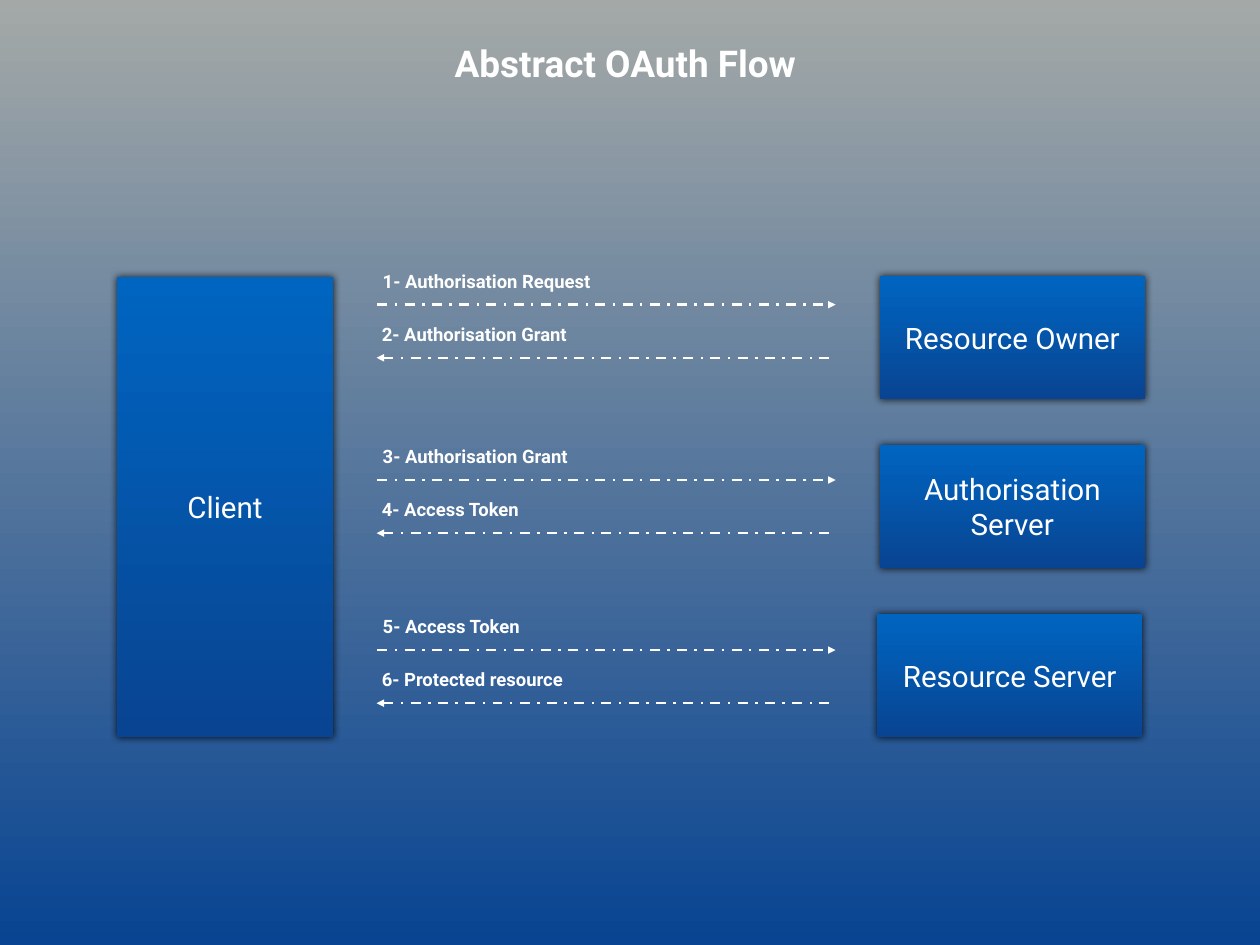
from dataclasses import dataclass
from lxml.etree import SubElement as Sub
from pptx import Presentation
from pptx.dml.color import RGBColor as RGB
from pptx.enum.dml import MSO_LINE as Dash
from pptx.enum.shapes import MSO_CONNECTOR as Conn, MSO_SHAPE as Shape
from pptx.enum.text import MSO_ANCHOR as Anchor, PP_ALIGN as Align
from pptx.oxml.ns import qn
from pptx.util import Inches, Pt


@dataclass(frozen=True)
class Theme:
    font: str = "Roboto"
    ink: str = "FFFFFF"
    shade: str = "000000"
    back: tuple = ("A4A9A7", "084492")
    card: tuple = ("0065C1", "084492")
    title: int = 30
    name: int = 24
    label: int = 15
    line: int = 2


THEME = Theme()
CLIENT = (1.32, 3.13, 2.44, 5.19)
PARTIES = [
    ("Resource Owner", (9.93, 3.12, 2.99, 1.39)),
    ("Authorisation Server", (9.93, 5.02, 2.99, 1.39)),
    ("Resource Server", (9.9, 6.93, 2.99, 1.39)),
]
STEPS = [
    (2.99, "1- Authorisation Request", "2- Authorisation Grant"),
    (4.97, "3- Authorisation Grant", "4- Access Token"),
    (6.89, "5- Access Token", "6- Protected resource"),
]


def blend(fill, colors):
    fill.gradient()
    fill.gradient_angle = 270
    for stop, color in zip(fill.gradient_stops, colors):
        stop.color.rgb = RGB.from_string(color)


def write(shape, text, size, bold=False, align=Align.CENTER):
    frame = shape.text_frame
    frame.text = text
    frame.word_wrap = True
    frame.vertical_anchor = Anchor.MIDDLE
    frame.margin_left = frame.margin_right = Inches(0.06)
    frame.margin_top = frame.margin_bottom = Inches(0.06)
    para = frame.paragraphs[0]
    para.alignment = align
    font = para.runs[0].font
    font.name, font.size, font.bold = THEME.font, Pt(size), bold
    font.color.rgb = RGB.from_string(THEME.ink)


def add_title(slide, box):
    title = slide.shapes.title
    title.left, title.top, title.width, title.height = map(Inches, box)
    write(title, "Abstract OAuth Flow ", THEME.title, True)


def add_card(slide, text, box):
    card = slide.shapes.add_shape(Shape.RECTANGLE, *map(Inches, box))
    blend(card.fill, THEME.card)
    card.line.fill.background()
    card.shadow.inherit = False
    effects = card.element.spPr.find(qn("a:effectLst"))
    glow = Sub(effects, qn("a:outerShdw"), blurRad=str(Pt(6)), dist="0",
               dir="0", algn="ctr", rotWithShape="0")
    color = Sub(glow, qn("a:srgbClr"), val=THEME.shade)
    Sub(color, qn("a:alpha"), val="80000")
    write(card, text, THEME.name)


def add_arrow(slide, text, box, end):
    left, top, width, drop = box
    y = Inches(top + drop)
    arrow = slide.shapes.add_connector(
        Conn.STRAIGHT, Inches(left), y, Inches(left + width), y)
    arrow.line.color.rgb = RGB.from_string(THEME.ink)
    arrow.line.width = Pt(THEME.line)
    arrow.line.dash_style = Dash.DASH_DOT
    props = arrow.element.spPr
    Sub(props.find(qn("a:ln")), qn(end), type="triangle")
    Sub(props, qn("a:effectLst"))
    label = slide.shapes.add_textbox(*map(Inches, (left, top, 4.9, 0.36)))
    write(label, text, THEME.label, True, Align.LEFT)


def add_swap(slide, ask, reply, box):
    left, top, width, drop = box
    add_arrow(slide, ask, box, "a:tailEnd")
    add_arrow(slide, reply, (left - 0.01, top + 0.6, width, drop), "a:headEnd")


def main():
    deck = Presentation()
    deck.slide_width, deck.slide_height = Inches(14.22), Inches(10.67)
    slide = deck.slides.add_slide(deck.slide_layouts[5])
    blend(slide.background.fill, THEME.back)
    add_title(slide, (0, 0.4, 14.22, 0.61))
    add_card(slide, "Client", CLIENT)
    for name, box in PARTIES:
        add_card(slide, name, box)
    for top, ask, reply in STEPS:
        add_swap(slide, ask, reply, (4.26, top, 5.17, 0.45))
    deck.save("out.pptx")


if __name__ == "__main__":
    main()
